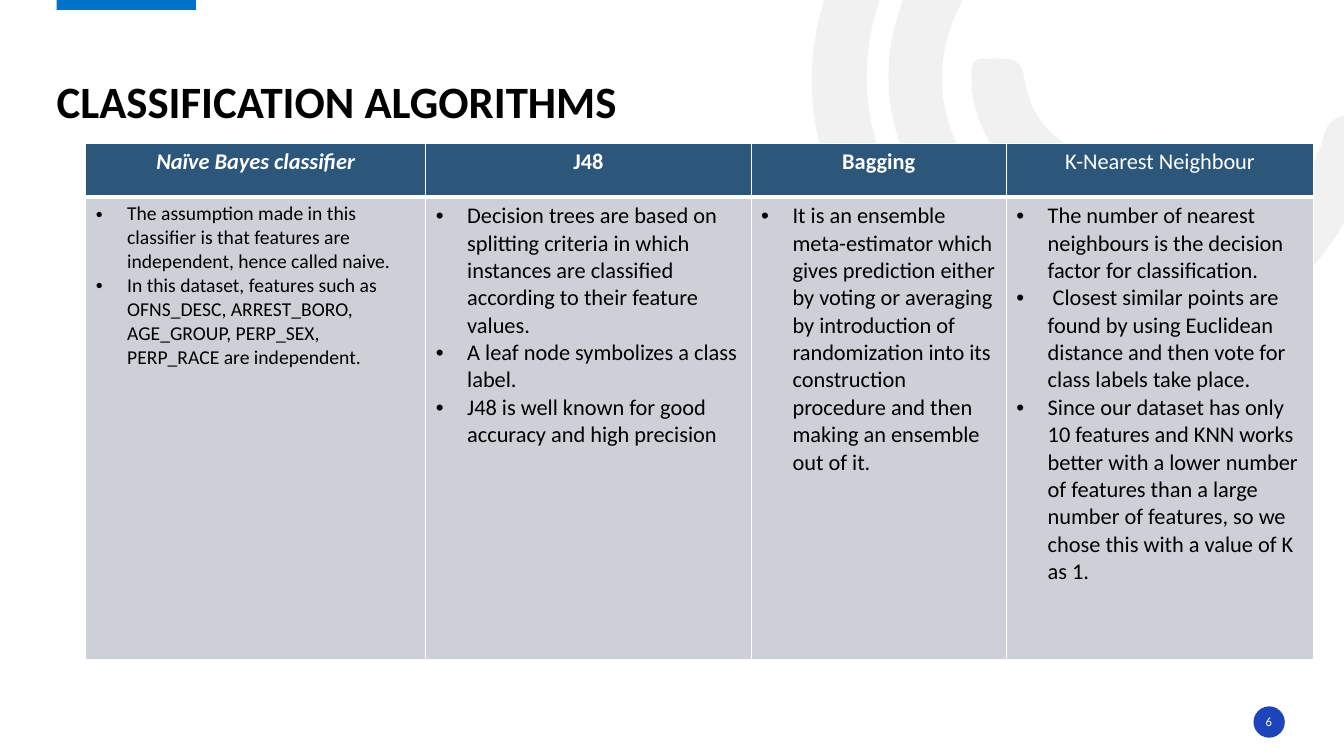
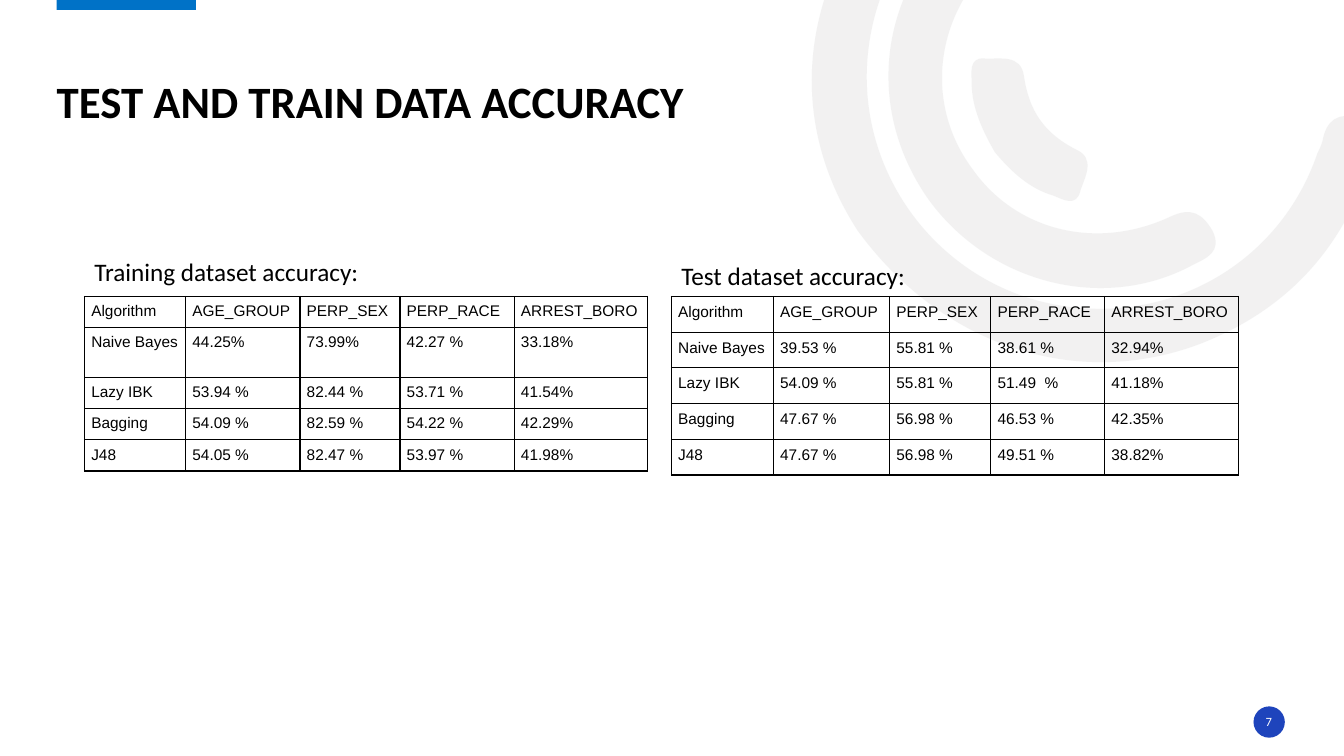
"""Build two slides on classification algorithms and their accuracy."""
from dataclasses import dataclass
from math import cos, radians, sin

from lxml.etree import SubElement
from pptx import Presentation
from pptx.dml.color import RGBColor
from pptx.enum.shapes import MSO_SHAPE as SHAPE
from pptx.enum.text import MSO_ANCHOR as ANCHOR, PP_ALIGN as ALIGN
from pptx.oxml import parse_xml
from pptx.oxml.ns import nsdecls, qn
from pptx.util import Cm, Pt


@dataclass(frozen=True)
class Theme:
    """Colours, fonts and type sizes."""
    white: str = "FFFFFF"
    black: str = "000000"
    band: str = "0072C7"
    badge: str = "1E44BC"
    arc: str = "E7E6E6"
    arc_alpha: int = 53
    header: str = "2C567A"
    body: str = "CDD1D7"
    font: str = "Calibri"
    data_font: str = "Arial"
    title: int = 32
    label: int = 18
    text: int = 16
    small: int = 14
    data: int = 11
    number: int = 9


T = Theme()
INCH = 2.54
ARC_TURN = 144.2

ALGORITHMS = [
    dict(name="Naïve Bayes classifier", width=8.57, size=T.small, italic=True, points=[
        "The assumption made in this classifier is that features are independent, hence called naive.",
        "In this dataset, features such as OFNS_DESC, ARREST_BORO, AGE_GROUP, PERP_SEX, "
        "PERP_RACE are independent."]),
    dict(name="J48", width=8.2, points=[
        "Decision trees are based on splitting criteria in which instances are classified "
        "according to their feature values.",
        "A leaf node symbolizes a class label.",
        "J48 is well known for good accuracy and high precision"]),
    dict(name="Bagging", width=6.43, points=[
        "It is an ensemble meta-estimator which gives prediction either by voting or averaging by "
        "introduction of randomization into its construction procedure and then making an ensemble "
        "out of it."]),
    dict(name="K-Nearest Neighbour", width=7.75, bold=False, points=[
        "The number of nearest neighbours is the decision factor for classification.",
        " Closest similar points are found by using Euclidean distance and then vote for class "
        "labels take place.",
        "Since our dataset has only 10 features and KNN works better with a lower number of features "
        "than a large number of features, so we chose this with a value of K as 1."]),
]

COLUMNS = ("Algorithm", "AGE_GROUP", "PERP_SEX", "PERP_RACE", "ARREST_BORO")
ACCURACY = [
    dict(label="Training dataset accuracy:", left=2.13, label_top=6.33, label_width=7.6, pad=0.16,
         widths=(2.55, 2.88, 2.52, 2.88, 3.36), heights=(0.78, 1.25, 0.78, 0.78, 0.78),
         rows=[("Naive Bayes", "44.25%", "73.99%", "42.27 %", "33.18%"),
               ("Lazy IBK", "53.94 %", "82.44 %", "53.71 %", "41.54%"),
               ("Bagging", "54.09 %", "82.59 %", "54.22 %", "42.29%"),
               ("J48", "54.05 %", "82.47 %", "53.97 %", "41.98%")]),
    dict(label="Test dataset accuracy:", left=16.92, label_top=6.43, label_width=6.22, pad=0.18,
         widths=(2.57, 2.93, 2.55, 2.87, 3.38), heights=(0.9,) * 5,
         rows=[("Naive Bayes", "39.53 %", "55.81 %", "38.61 %", "32.94%"),
               ("Lazy IBK", "54.09 %", "55.81 %", "51.49  %", "41.18%"),
               ("Bagging", "47.67 %", "56.98 %", "46.53 %", "42.35%"),
               ("J48", "47.67 %", "56.98 %", "49.51 %", "38.82%")]),
]

ARCS = [
    ((20.65, -5.13, 12.32, 15.24), (8.51, 2.29), [
        (7.99, 1.49, 7.87, 0.5, 8.38, -0.5), (8.9, -1.52, 9.76, -2.03, 10.9, -2.07),
        (11.05, -2.07, 11.21, -2.1, 11.31, -1.95), (11.44, -1.75, 11.27, -1.54, 10.98, -1.54),
        (9.67, -1.54, 8.65, -0.59, 8.6, 0.68), (8.56, 1.81, 9.36, 2.81, 10.46, 3.02),
        (11.6, 3.24, 12.7, 2.61, 13.07, 1.52), (13.09, 1.48, 13.11, 1.44, 13.12, 1.4),
        (13.16, 1.19, 13.27, 1.11, 13.49, 1.17), (13.73, 1.24, 13.67, 1.41, 13.61, 1.56),
        (13.34, 2.45, 12.78, 3.07, 11.91, 3.41), (10.7, 3.87, 9.36, 3.45, 8.51, 2.29)]),
    ((22.89, -1.98, 5.41, 10.82), (9.22, 1.99), [
        (8.62, 1.15, 8.69, 0.07, 9.4, -0.68), (9.51, -0.79, 9.62, -0.95, 9.8, -0.78),
        (9.95, -0.64, 9.97, -0.5, 9.79, -0.32), (9.25, 0.26, 9.2, 1.08, 9.65, 1.68),
        (10.08, 2.29, 10.88, 2.49, 11.61, 2.15), (11.82, 2.05, 11.93, 2.12, 12.03, 2.29),
        (12.13, 2.5, 11.97, 2.56, 11.83, 2.63), (10.96, 3.1, 9.83, 2.82, 9.22, 1.99)]),
    ((24.89, 0.94, 1.98, 4.65), (9.87, 1.51), [
        (9.75, 1.3, 9.64, 1.07, 9.64, 0.82), (9.64, 0.73, 9.61, 0.57, 9.76, 0.58),
        (9.92, 0.59, 10.13, 0.53, 10.16, 0.76), (10.21, 1.1, 10.36, 1.32, 10.67, 1.48),
        (10.88, 1.57, 10.76, 1.76, 10.72, 1.89), (10.68, 2.06, 10.55, 1.98, 10.45, 1.94),
        (10.21, 1.87, 10.03, 1.7, 9.87, 1.51)]),
]


def rgb(color):
    return RGBColor.from_string(color)


def write(tf, *lines, size=T.text, color=T.black, font=T.font, bold=False, italic=False,
          align=ALIGN.LEFT, spacing=None, bullet=False):
    for i, line in enumerate(lines):
        p = tf.add_paragraph() if i else tf.paragraphs[0]
        p.alignment = align
        if spacing:
            p.line_spacing = spacing
        if bullet:
            pPr = p._p.get_or_add_pPr()
            pPr.set("marL", str(Cm(0.79)))
            pPr.set("indent", str(-Cm(0.79)))
            SubElement(pPr, qn("a:buFont"), typeface="Arial")
            SubElement(pPr, qn("a:buChar"), char="•")
        r = p.add_run()
        r.text = line
        f = r.font
        f.size, f.name, f.bold, f.italic = Pt(size), font, bold, italic
        f.color.rgb = rgb(color)


def add_text(s, box, text, anchor=ANCHOR.TOP, inset=True, **style):
    tf = s.shapes.add_textbox(*map(Cm, box)).text_frame
    tf.word_wrap = True
    tf.vertical_anchor = anchor
    if not inset:
        tf.margin_left = tf.margin_right = tf.margin_top = tf.margin_bottom = 0
    write(tf, text, **style)


def paint(sp, color):
    sp.shadow.inherit = False
    sp.fill.solid()
    sp.fill.fore_color.rgb = rgb(color)
    sp.line.fill.background()


def add_arc(s, box, start, curves):
    left, top, width, height = box
    ca, sa = cos(radians(ARC_TURN)), sin(radians(ARC_TURN))

    def local(x, y):
        dx, dy = x * INCH - left - width / 2, y * INCH - top - height / 2
        return Cm(width / 2 + dx * ca + dy * sa), Cm(height / 2 + dy * ca - dx * sa)

    builder = s.shapes.build_freeform(*local(*start))
    builder.add_line_segments([local(*c[4:]) for c in curves], close=True)
    sp = builder.convert_to_shape()
    sp.left, sp.top, sp.width, sp.height = map(Cm, box)
    sp.rotation = ARC_TURN
    paint(sp, T.arc)
    spPr = sp._element.spPr
    SubElement(spPr.find(".//" + qn("a:srgbClr")), qn("a:alpha"), val=str(T.arc_alpha * 1000))

    outline = spPr.find(".//" + qn("a:pathLst"))[0]
    outline.set("w", str(Cm(width)))
    outline.set("h", str(Cm(height)))
    for step in list(outline):
        outline.remove(step)
    steps = [("a:moveTo", start)] + [("a:cubicBezTo", c) for c in curves]
    for tag, values in steps:
        step = SubElement(outline, qn(tag))
        for point in zip(values[::2], values[1::2]):
            x, y = local(*point)
            SubElement(step, qn("a:pt"), x=str(x), y=str(y))
    SubElement(outline, qn("a:close"))


def add_slide(prs, title, number):
    s = prs.slides.add_slide(prs.slide_layouts[6])
    for arc in ARCS:
        add_arc(s, *arc)
    for kind, box, color in ((SHAPE.RECTANGLE, (1.43, -0.05, 3.51, 0.3), T.band),
                             (SHAPE.OVAL, (31.59, 17.8, 0.79, 0.79), T.badge),
                             (SHAPE.RECTANGLE, (0.99, 16.99, 3.43, 1.88), T.white)):
        paint(s.shapes.add_shape(kind, *map(Cm, box)), color)
    add_text(s, (31.57, 17.92, 0.81, 0.51), str(number), anchor=ANCHOR.MIDDLE, inset=False,
             size=T.number, color=T.white, align=ALIGN.CENTER)
    add_text(s, (1.43, 0.69, 30.96, 2.55), title, anchor=ANCHOR.BOTTOM, inset=False,
             size=T.title, bold=True, spacing=0.9)
    return s


def add_table(s, left, top, widths, heights):
    frame = s.shapes.add_table(len(heights), len(widths), Cm(left), Cm(top),
                               Cm(sum(widths)), Cm(sum(heights)))
    table = frame.table
    table.first_row = table.horz_banding = False
    for col, width in zip(table.columns, widths):
        col.width = Cm(width)
    for row, height in zip(table.rows, heights):
        row.height = Cm(height)
    return table


def style_cell(cell, fill, border, top=1, bottom=1):
    if fill:
        cell.fill.solid()
        cell.fill.fore_color.rgb = rgb(fill)
    else:
        cell.fill.background()
    tcPr = cell._tc.get_or_add_tcPr()
    for i, (side, width) in enumerate(dict(L=1, R=1, T=top, B=bottom).items()):
        tcPr.insert(i, parse_xml(
            f'<a:ln{side} {nsdecls("a")} w="{Pt(width)}"><a:solidFill>'
            f'<a:srgbClr val="{border}"/></a:solidFill></a:ln{side}>'))


def algorithms_slide(prs):
    s = add_slide(prs, "CLASSIFICATION ALGORITHMS", 6)
    table = add_table(s, 2.16, 3.61, [a["width"] for a in ALGORITHMS], (1.36, 11.66))
    for i, a in enumerate(ALGORITHMS):
        head, body = table.cell(0, i), table.cell(1, i)
        style_cell(head, T.header, T.white, bottom=3)
        style_cell(body, T.body, T.white, top=3)
        write(head.text_frame, a["name"], color=T.white, bold=a.get("bold", True),
              italic=a.get("italic", False), align=ALIGN.CENTER)
        write(body.text_frame, *a["points"], size=a.get("size", T.text), bullet=True)


def accuracy_slide(prs):
    s = add_slide(prs, "TEST AND TRAIN DATA ACCURACY", 7)
    for d in ACCURACY:
        add_text(s, (d["left"], d["label_top"], d["label_width"], 1.02), d["label"], size=T.label)
        table = add_table(s, d["left"], 7.47, d["widths"], d["heights"])
        for i, row in enumerate([COLUMNS, *d["rows"]]):
            for j, value in enumerate(row):
                cell = table.cell(i, j)
                cell.margin_left = cell.margin_right = Cm(0.17)
                cell.margin_top = cell.margin_bottom = Cm(d["pad"])
                style_cell(cell, None, T.black)
                write(cell.text_frame, value, size=T.data, font=T.data_font, align=ALIGN.JUSTIFY)


def main():
    prs = Presentation()
    prs.slide_width, prs.slide_height = Cm(33.87), Cm(19.05)
    algorithms_slide(prs)
    accuracy_slide(prs)
    prs.save("out.pptx")


if __name__ == "__main__":
    main()
